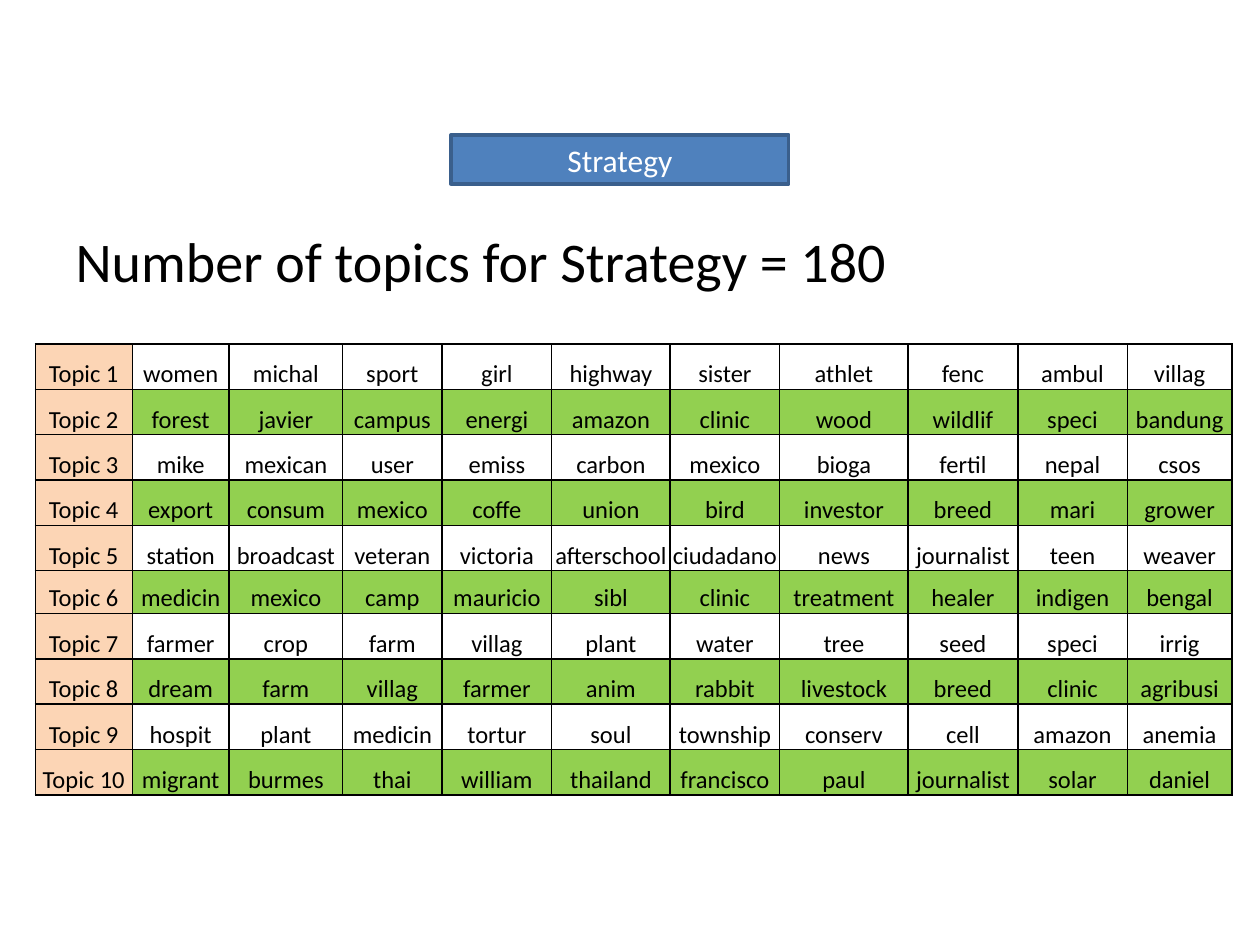
from dataclasses import dataclass

from lxml import etree
from pptx import Presentation
from pptx.dml.color import RGBColor
from pptx.enum import shapes, text
from pptx.oxml import ns
from pptx.util import Inches, Pt


@dataclass(frozen=True)
class Theme:
    """Colours, font and type sizes of the slide."""
    font: str = "Calibri"
    ink: str = "000000"
    paper: str = "FFFFFF"
    label_fill: str = "4F81BD"
    label_line: str = "3A5F8C"
    topic_fill: str = "FCD5B5"
    band_fill: str = "92D050"
    statement_size: int = 32
    label_size: int = 18
    cell_size: int = 14


THEME = Theme()
COLUMN_WIDTHS = [0.77, 0.77, 0.9, 0.79, 0.87, 0.94, 0.87, 1.02, 0.87, 0.87, 0.83]
ROW_HEIGHTS = [0.36] * 5 + [0.34] + [0.36] * 4
TOPICS = [words.split() for words in (
    "women michal sport girl highway sister athlet fenc ambul villag",
    "forest javier campus energi amazon clinic wood wildlif speci bandung",
    "mike mexican user emiss carbon mexico bioga fertil nepal csos",
    "export consum mexico coffe union bird investor breed mari grower",
    "station broadcast veteran victoria afterschool ciudadano news journalist teen weaver",
    "medicin mexico camp mauricio sibl clinic treatment healer indigen bengal",
    "farmer crop farm villag plant water tree seed speci irrig",
    "dream farm villag farmer anim rabbit livestock breed clinic agribusi",
    "hospit plant medicin tortur soul township conserv cell amazon anemia",
    "migrant burmes thai william thailand francisco paul journalist solar daniel",
)]


def write_text(frame, content, *, size, color=THEME.ink, align=text.PP_ALIGN.CENTER):
    """Write one formatted paragraph into a text frame and return it."""
    paragraph = frame.paragraphs[0]
    paragraph.alignment = align
    run = paragraph.add_run()
    run.text = content
    run.font.name = THEME.font
    run.font.size = Pt(size)
    run.font.color.rgb = RGBColor.from_string(color)
    return paragraph


def add_statement(slide, box, content):
    """Place the body placeholder in the box as one line without a bullet."""
    body = slide.placeholders[1]
    body.left, body.top, body.width, body.height = map(Inches, box)
    body.text_frame.auto_size = text.MSO_AUTO_SIZE.NONE
    paragraph = write_text(body.text_frame, content, size=THEME.statement_size,
                           align=text.PP_ALIGN.LEFT)
    properties = paragraph._p.get_or_add_pPr()
    properties.set("marL", "0")
    properties.set("indent", "0")
    etree.SubElement(properties, ns.qn("a:buNone"))


def draw_borders(cell):
    """Outline all four sides of a table cell."""
    properties = cell._tc.get_or_add_tcPr()
    for index, side in enumerate(("lnL", "lnR", "lnT", "lnB")):
        line = etree.Element(ns.qn(f"a:{side}"), w=str(Pt(1)))
        fill = etree.SubElement(line, ns.qn("a:solidFill"))
        etree.SubElement(fill, ns.qn("a:srgbClr"), val=THEME.ink)
        properties.insert(index, line)


def format_cell(cell, content, fill):
    """Fill, outline and label one table cell."""
    cell.margin_left = cell.margin_right = cell.margin_top = Inches(0.01)
    cell.margin_bottom = 0
    cell.vertical_anchor = text.MSO_ANCHOR.BOTTOM
    if fill:
        cell.fill.solid()
        cell.fill.fore_color.rgb = RGBColor.from_string(fill)
    else:
        cell.fill.background()
    draw_borders(cell)
    write_text(cell.text_frame, content, size=THEME.cell_size)


def add_topic_table(slide, box, topics):
    """Place the topic table in the box, with every second row coloured."""
    table = slide.shapes.add_table(len(topics), len(COLUMN_WIDTHS),
                                   *map(Inches, box)).table
    table.first_row = table.horz_banding = False
    for column, width in zip(table.columns, COLUMN_WIDTHS):
        column.width = Inches(width)
    for row, height in zip(table.rows, ROW_HEIGHTS):
        row.height = Inches(height)
    for number, words in enumerate(topics, start=1):
        word_fill = None if number % 2 else THEME.band_fill
        for column, content in enumerate([f"Topic {number}", *words]):
            fill = word_fill if column else THEME.topic_fill
            format_cell(table.cell(number - 1, column), content, fill)


def add_label(slide, box, content):
    """Place a filled, outlined label in the box."""
    label = slide.shapes.add_shape(shapes.MSO_SHAPE.RECTANGLE, *map(Inches, box))
    label.shadow.inherit = False
    label.fill.solid()
    label.fill.fore_color.rgb = RGBColor.from_string(THEME.label_fill)
    label.line.color.rgb = RGBColor.from_string(THEME.label_line)
    label.line.width = Pt(2)
    label.text_frame.vertical_anchor = text.MSO_ANCHOR.MIDDLE
    write_text(label.text_frame, content, size=THEME.label_size, color=THEME.paper)


def main():
    """Build and save the strategy topics slide."""
    presentation = Presentation()
    presentation.slide_width, presentation.slide_height = Inches(10), Inches(7.5)
    slide = presentation.slides.add_slide(
        presentation.slide_layouts.get_by_name("Title and Content"))
    title = slide.shapes.title.element
    title.getparent().remove(title)
    add_statement(slide, (0.5, 1.75, 9, 4.95), "Number of topics for Strategy = 180")
    add_topic_table(slide, (0.28, 2.73, sum(COLUMN_WIDTHS), sum(ROW_HEIGHTS)), TOPICS)
    add_label(slide, (3.58, 1.07, 2.68, 0.39), "Strategy")
    presentation.save("out.pptx")


if __name__ == "__main__":
    main()
